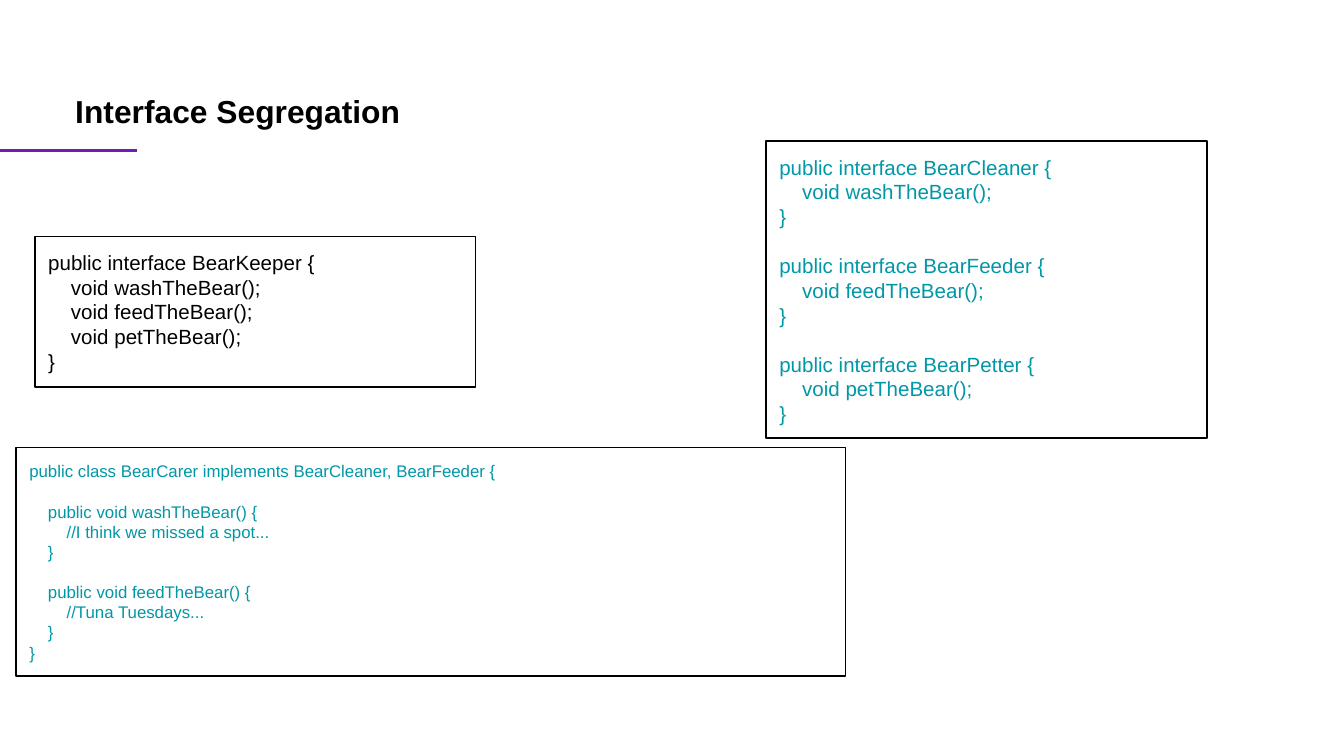
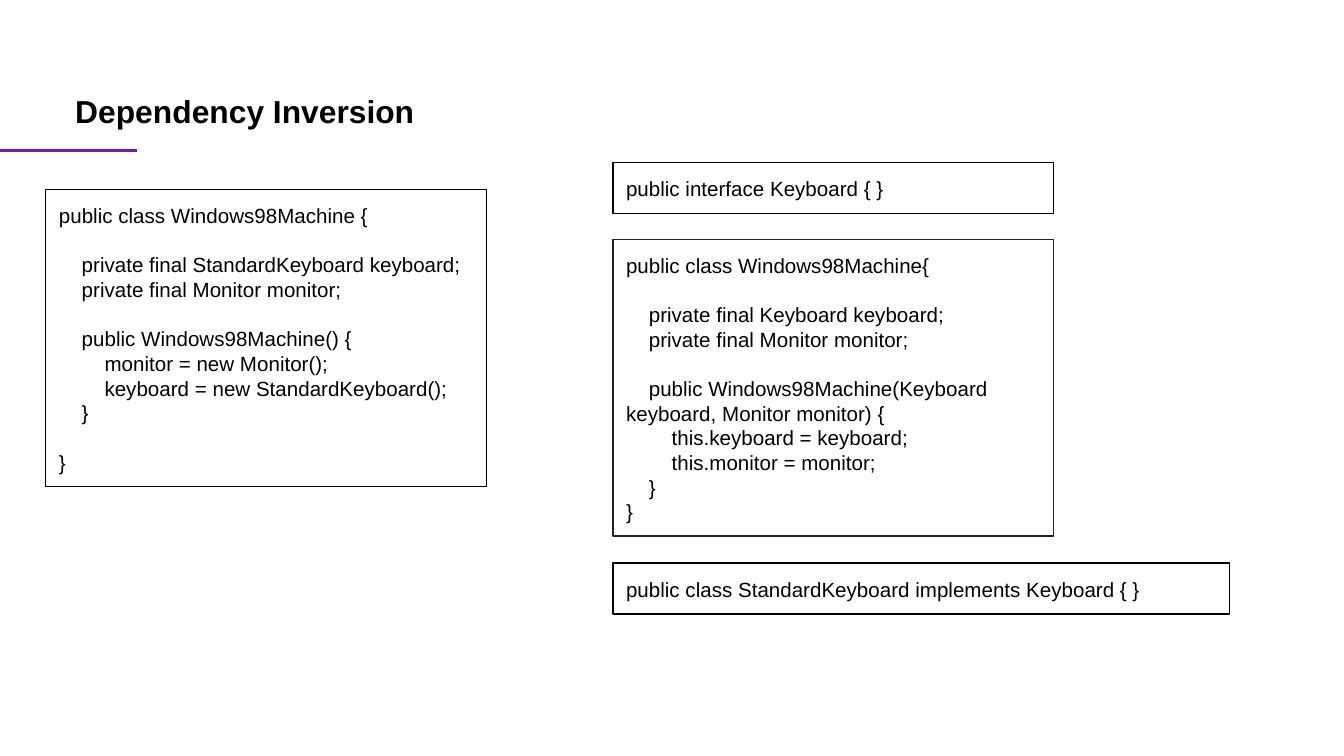
from dataclasses import dataclass

from lxml.etree import SubElement
from pptx import Presentation
from pptx.dml.color import RGBColor
from pptx.enum.shapes import MSO_CONNECTOR as Connector, MSO_SHAPE as Shape
from pptx.enum.text import MSO_ANCHOR as Anchor, MSO_AUTO_SIZE as AutoSize, PP_ALIGN as Align
from pptx.oxml.ns import qn
from pptx.slide import Slide
from pptx.text.text import Font, TextFrame
from pptx.util import Inches, Pt

FONT = "Arial"
BLACK = "000000"
CHARCOAL = "212221"
TEAL = "0097A7"
PURPLE = "731AB7"
TITLE_ONLY = 5
LINE_PITCH = 1.2
CODE_WIDTH = 3.28


@dataclass(frozen=True)
class CodeBox:
    left: float
    top: float
    height: float
    code: str
    width: float = CODE_WIDTH
    size: float = 11
    color: str = BLACK
    border: str = BLACK


@dataclass(frozen=True)
class Page:
    title: str
    title_height: float
    boxes: tuple[CodeBox, ...]


BEAR_KEEPER = """public interface BearKeeper {
    void washTheBear();
    void feedTheBear();
    void petTheBear();
}"""

BEAR_ROLES = """public interface BearCleaner {
    void washTheBear();
}

public interface BearFeeder {
    void feedTheBear();
}

public interface BearPetter {
    void petTheBear();
}"""

BEAR_CARER = """public class BearCarer implements BearCleaner, BearFeeder {

    public void washTheBear() {
        //I think we missed a spot...
    }

    public void feedTheBear() {
        //Tuna Tuesdays...
    }
}"""

COUPLED_MACHINE = """public class Windows98Machine {

    private final StandardKeyboard keyboard;
    private final Monitor monitor;

    public Windows98Machine() {
        monitor = new Monitor();
        keyboard = new StandardKeyboard();
    }

}"""

INJECTED_MACHINE = """public class Windows98Machine{

    private final Keyboard keyboard;
    private final Monitor monitor;

    public Windows98Machine(Keyboard keyboard, Monitor monitor) {
        this.keyboard = keyboard;
        this.monitor = monitor;
    }
}"""

KEYBOARD = "public interface Keyboard { }"
STANDARD_KEYBOARD = "public class StandardKeyboard implements Keyboard { }"

PAGES = (
    Page("Interface Segregation", 0.81, (
        CodeBox(0.26, 1.76, 1.12, BEAR_KEEPER),
        CodeBox(5.7, 1.05, 2.21, BEAR_ROLES, color=TEAL),
        CodeBox(0.12, 3.33, 1.7, BEAR_CARER, width=6.17, size=9, color=TEAL),
    )),
    Page("Dependency Inversion", 0.53, (
        CodeBox(0.34, 1.41, 2.21, COUPLED_MACHINE),
        CodeBox(4.56, 1.21, 0.38, KEYBOARD),
        CodeBox(4.56, 1.78, 2.21, INJECTED_MACHINE, border=CHARCOAL),
        CodeBox(4.56, 4.19, 0.38, STANDARD_KEYBOARD, width=4.59),
    )),
)


def rgb(color: str) -> RGBColor:
    return RGBColor.from_string(color)


def set_font(font: Font, size: float, color: str, bold: bool = False) -> None:
    font.name = FONT
    font.size = Pt(size)
    font.bold = bold
    font.color.rgb = rgb(color)


def set_frame(frame: TextFrame) -> None:
    """Anchor the text at the top, wrapped, with equal insets."""
    frame.word_wrap = True
    frame.auto_size = AutoSize.NONE
    frame.vertical_anchor = Anchor.TOP
    frame.margin_left = frame.margin_right = Inches(0.1)
    frame.margin_top = frame.margin_bottom = Inches(0.1)


def add_title(slide: Slide, page: Page) -> None:
    title = slide.shapes.title
    title.left, title.top = Inches(0.46), Inches(0.54)
    title.width, title.height = Inches(5.15), Inches(page.title_height)
    set_frame(title.text_frame)
    para = title.text_frame.paragraphs[0]
    para.text = page.title
    para.alignment = Align.LEFT
    para.line_spacing = 1.15
    para.space_before = Pt(0)
    set_font(para.font, 17, BLACK, bold=True)


def add_title_rule(slide: Slide) -> None:
    rule = slide.shapes.add_connector(
        Connector.STRAIGHT, Inches(0), Inches(1.12), Inches(1.02), Inches(1.12))
    rule.line.color.rgb = rgb(PURPLE)
    rule.line.width = Pt(1.5)
    SubElement(rule.element.spPr, qn("a:effectLst"))


def add_code(frame: TextFrame, box: CodeBox) -> None:
    """Write one paragraph per code line; a blank line becomes space before."""
    pitch = box.size * LINE_PITCH
    para = frame.paragraphs[0]
    for index, block in enumerate(box.code.split("\n\n")):
        for row, line in enumerate(block.split("\n")):
            if index or row:
                para = frame.add_paragraph()
            para.text = line
            para.alignment = Align.LEFT
            para.line_spacing = Pt(pitch)
            para.space_before = Pt(pitch if index and not row else 0)
            set_font(para.font, box.size, box.color)


def add_code_box(slide: Slide, box: CodeBox) -> None:
    shape = slide.shapes.add_shape(
        Shape.RECTANGLE, Inches(box.left), Inches(box.top),
        Inches(box.width), Inches(box.height))
    shape.shadow.inherit = False
    shape.fill.background()
    shape.line.color.rgb = rgb(box.border)
    shape.line.width = Pt(0.75)
    set_frame(shape.text_frame)
    add_code(shape.text_frame, box)


def main() -> None:
    deck = Presentation()
    deck.slide_width = Inches(10)
    deck.slide_height = deck.slide_width * 9 // 16
    for page in PAGES:
        slide = deck.slides.add_slide(deck.slide_layouts[TITLE_ONLY])
        add_title_rule(slide)
        add_title(slide, page)
        for box in page.boxes:
            add_code_box(slide, box)
    deck.save("out.pptx")


if __name__ == "__main__":
    main()
